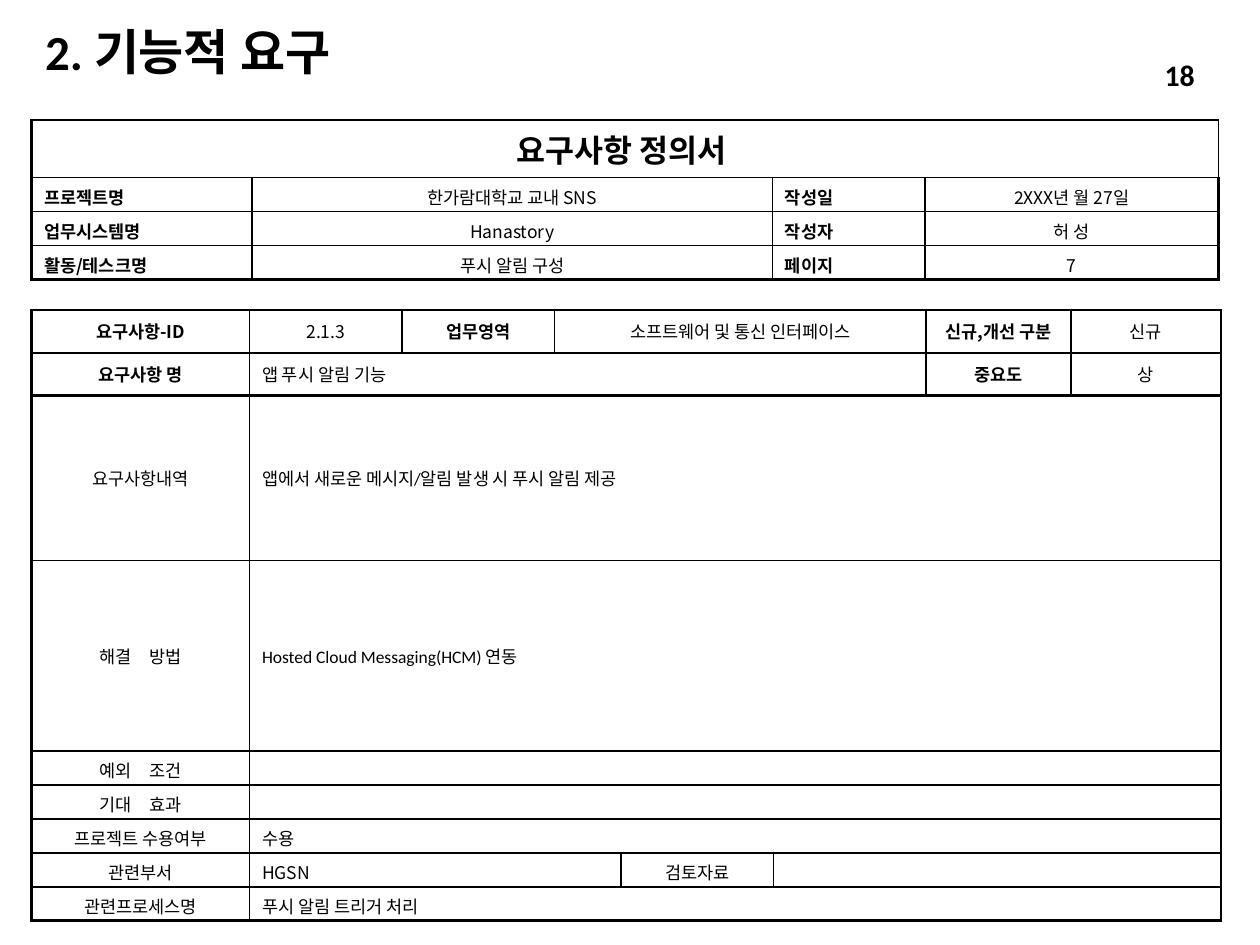
from lxml.etree import SubElement
from pptx import Presentation
from pptx.dml.color import RGBColor
from pptx.enum.text import MSO_ANCHOR, PP_ALIGN
from pptx.oxml.ns import qn
from pptx.util import Inches, Pt

SANS, LATIN, INK = "Noto Sans CJK KR", "Calibri", "000000"
LEFT, CENTER, RIGHT, JUSTIFY = PP_ALIGN.LEFT, PP_ALIGN.CENTER, PP_ALIGN.RIGHT, PP_ALIGN.JUSTIFY
THIN, THICK = 1, 1.5


def write(frame, text, size, bold, align, font):
    paragraph = frame.paragraphs[0]
    paragraph.text = text
    paragraph.alignment = align
    for run in paragraph.runs:
        run.font.size, run.font.bold, run.font.name = Pt(size), bold, font
        run.font.color.rgb = RGBColor.from_string(INK)
        SubElement(run._r.get_or_add_rPr(), qn("a:ea"), typeface=SANS)
    if not text:
        SubElement(paragraph._p, qn("a:endParaRPr"), sz=str(size * 100))
    return paragraph


def set_borders(cell, left, right, top, bottom):
    properties = cell._tc.get_or_add_tcPr()
    sides = {"a:lnL": left, "a:lnR": right, "a:lnT": top, "a:lnB": bottom}
    for position, (side, width) in enumerate(sides.items()):
        line = SubElement(properties, qn(side), w=str(Pt(width)))
        SubElement(SubElement(line, qn("a:solidFill")), qn("a:srgbClr"), val=INK)
        properties.insert(position, line)


prs = Presentation()
prs.slide_width, prs.slide_height = Inches(10), Inches(7.5)
slide = prs.slides.add_slide(prs.slide_layouts[6])

# Heading and page number: left, top, width, height, text, size, alignment
for left, top, width, height, text, size, align in [
    (0.26, 0.21, 5.36, 0.44, "2. 기능적 요구", 28, LEFT),
    (7.96, 0.41, 1.62, 0.4, "18", 17, RIGHT),
]:
    frame = slide.shapes.add_textbox(*map(Inches, (left, top, width, height))).text_frame
    frame.word_wrap = True
    frame.vertical_anchor = MSO_ANCHOR.MIDDLE
    write(frame, text, size, True, align, LATIN).line_spacing = 0.9

# Each cell: columns spanned, text, size, bold, alignment, font
def_label = (10, True, JUSTIFY, SANS)
head = (10, True, CENTER, SANS)
value = (10, False, CENTER, SANS)
answer = (10, False, LEFT, SANS)
detail = (10, False, LEFT, LATIN)

definition = [
    [(4, "요구사항 정의서 ", 18, True, CENTER, SANS)],
    [(1, "프로젝트명", *def_label), (1, "한가람대학교 교내 SNS", *value),
     (1, "작성일", *def_label), (1, "2XXX년 월 27일", *value)],
    [(1, "업무시스템명 ", *def_label), (1, "Hanastory", *value),
     (1, "작성자", *def_label), (1, "허 성", *value)],
    [(1, "활동/테스크명", *def_label), (1, "푸시 알림 구성", 10, False, CENTER, LATIN),
     (1, "페이지", *def_label), (1, "7", *value)],
]
requirement = [
    [(1, "요구사항-ID", *head), (1, "2.1.3", *value), (1, "업무영역", *head),
     (3, "소프트웨어 및 통신 인터페이스", *value),
     (1, "신규,개선 구분", *head), (1, "신규", *value)],
    [(1, "요구사항 명", *head), (5, "앱 푸시 알림 기능", *detail),
     (1, "중요도", *head), (1, "상", *value)],
    [(1, "요구사항내역", *value), (7, "앱에서 새로운 메시지/알림 발생 시 푸시 알림 제공", *detail)],
    [(1, "해결　방법", *value), (7, "Hosted Cloud Messaging(HCM) 연동", *detail)],
    [(1, "예외　조건", *value), (7, "", *answer)],
    [(1, "기대　효과", *value), (7, "", *answer)],
    [(1, "프로젝트 수용여부", *value), (7, "수용", *answer)],
    [(1, "관련부서", *value), (3, "HGSN", *answer), (1, "검토자료", *value), (3, "", *answer)],
    [(1, "관련프로세스명", *value), (7, "푸시 알림 트리거 처리", *detail)],
]

# Each table: top, column widths, row heights, rows, anchor, thick rules between rows
for top, widths, heights, rows, anchor, thick_rules in [
    (2.46, [1.73, 1.21, 1.21, 0.53, 1.21, 1.21, 1.15, 1.19],
     [0.34, 0.34, 1.31, 1.51] + [0.27] * 4 + [0.16], requirement, MSO_ANCHOR.MIDDLE, {1, 2}),
    (0.95, [1.75, 4.13, 1.21, 2.33], [0.46] + [0.27] * 3, definition, MSO_ANCHOR.TOP, set()),
]:
    row_count, column_count = len(heights), len(widths)
    table = slide.shapes.add_table(
        row_count, column_count, Inches(0.25), Inches(top),
        Inches(sum(widths)), Inches(sum(heights))).table
    table.first_row = table.horz_banding = False
    for column, width in zip(table.columns, widths):
        column.width = Inches(width)
    for row, height in zip(table.rows, heights):
        row.height = Inches(height)

    thick_rules = thick_rules | {0, row_count}
    for r, row in enumerate(rows):
        for c in range(column_count):
            cell = table.cell(r, c)
            cell.fill.background()
            set_borders(cell,
                        THIN if c else THICK,
                        THIN if c < column_count - 1 else THICK,
                        THICK if r in thick_rules else THIN,
                        THICK if r + 1 in thick_rules else THIN)
        c = 0
        for span, text, size, bold, align, font in row:
            cell = table.cell(r, c)
            if span > 1:
                cell.merge(table.cell(r, c + span - 1))
            cell.vertical_anchor = MSO_ANCHOR.MIDDLE if r == 0 else anchor
            write(cell.text_frame, text, size, bold, align, font).space_before = Pt(size * 0.2)
            c += span

    # Covered cells keep the small text size so that they do not stretch their row
    for cell in table.iter_cells():
        if cell.is_spanned:
            write(cell.text_frame, "", 10, False, LEFT, SANS)

prs.save("out.pptx")
